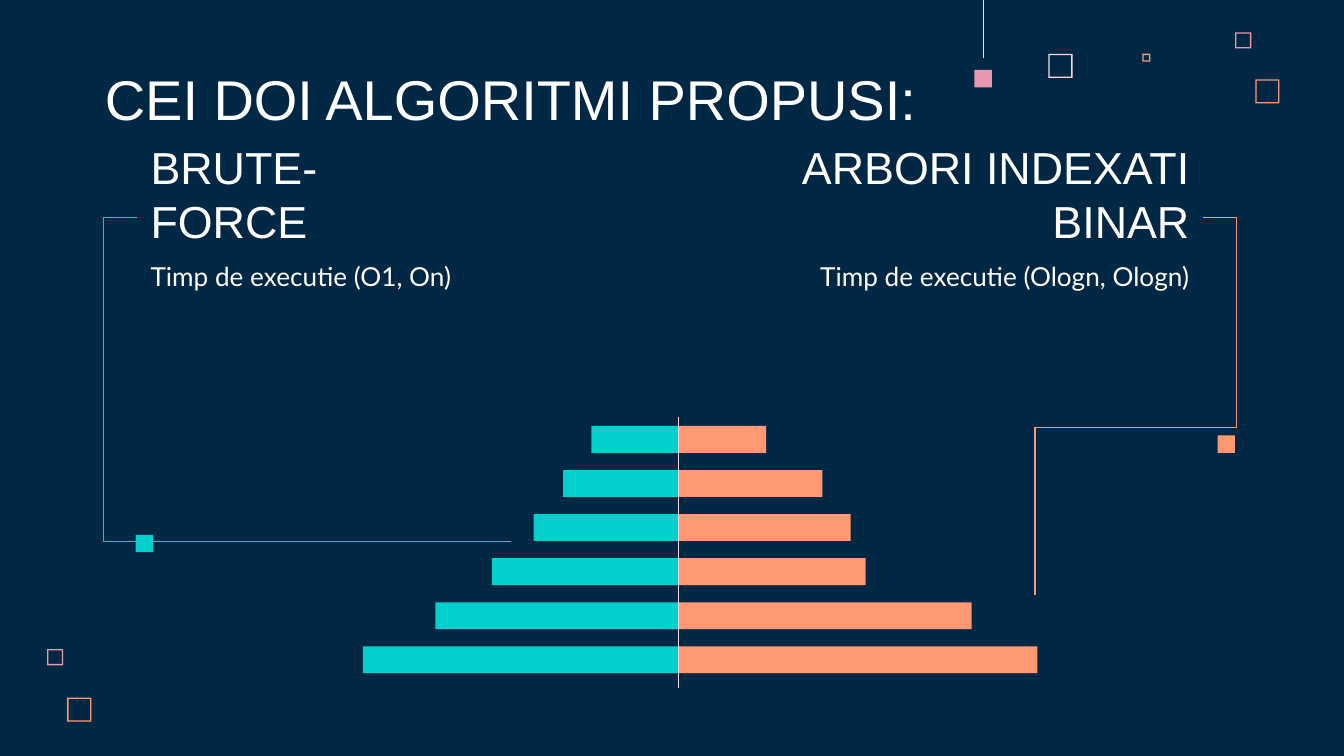
from collections import namedtuple
from dataclasses import dataclass

from lxml.etree import SubElement
from pptx import Presentation
from pptx.dml.color import RGBColor
from pptx.enum.shapes import MSO_CONNECTOR as Link, MSO_SHAPE as Shape
from pptx.enum.text import MSO_ANCHOR as Anchor, MSO_AUTO_SIZE as AutoSize, PP_ALIGN as Align
from pptx.oxml.ns import qn
from pptx.util import Inches, Pt

Box = namedtuple("Box", "left top width height")
Panel = namedtuple("Panel", "heading detail heading_width detail_width align color "
                            "leader_end bend adjustments marker")


@dataclass(frozen=True)
class Theme:
    """Colours, fonts and type sizes of the deck."""
    navy: str = "002845"
    white: str = "FFFFFF"
    blush: str = "FFD6E1"
    pink: str = "E898AC"
    coral: str = "FF9973"
    teal: str = "00CFCC"
    display: str = "Arial"
    text: str = "Lato"
    title_size: float = 30
    heading_size: float = 24
    detail_size: float = 14
    line: float = 0.75
    hairline: float = 0.5


THEME = Theme()


def rgb(color):
    """Turn a hex string into a colour."""
    return RGBColor.from_string(color)


def add_block(page, box, color, kind=Shape.RECTANGLE):
    """Add a flat filled shape without outline."""
    block = page.shapes.add_shape(kind, *map(Inches, box))
    block.shadow.inherit = False
    block.fill.solid()
    block.fill.fore_color.rgb = rgb(color)
    block.line.fill.background()
    return block


def add_line(page, start, end, color, width=THEME.line, bend=None, adjustments=()):
    """Add a straight line, or an elbow of the given bend type."""
    kind = Link.ELBOW if bend else Link.STRAIGHT
    line = page.shapes.add_connector(kind, *map(Inches, (*start, *end)))
    line.line.color.rgb = rgb(color)
    line.line.width = Pt(width)
    properties = line._element.spPr
    SubElement(properties, qn("a:effectLst"))
    if bend:
        geometry = properties.find(qn("a:prstGeom"))
        geometry.set("prst", bend)
        guides = geometry.get_or_add_avLst()
        for number, value in enumerate(adjustments, 1):
            SubElement(guides, qn("a:gd"), name=f"adj{number}", fmla=f"val {round(value * 100000)}")


def fill_placeholder(holder, box, text, size, font, align=Align.LEFT, anchor=Anchor.BOTTOM):
    """Move a placeholder into its box and write one formatted line of text."""
    holder.left, holder.top, holder.width, holder.height = map(Inches, box)
    frame = holder.text_frame
    frame.word_wrap = True
    frame.auto_size = AutoSize.NONE
    frame.vertical_anchor = anchor
    frame.margin_left = frame.margin_top = frame.margin_right = frame.margin_bottom = Inches(0.1)
    para = frame.paragraphs[0]
    para.alignment = align
    para.line_spacing = 1.0
    para.space_before = Pt(0)
    properties = para._p.get_or_add_pPr()
    properties.set("marL", "0")
    properties.set("indent", "0")
    SubElement(properties, qn("a:buNone"))
    span = para.add_run()
    span.text = text
    span.font.name = font
    span.font.size = Pt(size)
    span.font.bold = False
    span.font.color.rgb = rgb(THEME.white)


def add_frames(page, box, frames):
    """Scatter hollow squares, each given as x, y, size and colour within the box."""
    for x, y, size, color in frames:
        frame = add_block(page, Box(box.left + x, box.top + y, size, size), color, Shape.FRAME)
        frame.adjustments[0] = 0.01 / size


def add_pendant(page, box):
    """Hang a pink square from a thin thread."""
    middle = box.left + box.width / 2
    square_top = box.top + box.height - box.width
    add_line(page, (middle, box.top), (middle, square_top - 0.09), THEME.blush, THEME.hairline)
    add_block(page, Box(box.left, square_top, box.width, box.width), THEME.pink)


def add_panel(page, box, panel, heading_holder, detail_holder):
    """Write an algorithm's heading and detail and draw its leader line."""
    on_right = panel.align == Align.RIGHT
    edge = box.left + box.width if on_right else box.left

    def aligned(width, offset, height):
        """Return a box against the outer edge of the panel."""
        return Box(edge - width if on_right else edge, box.top + offset, width, height)

    fill_placeholder(heading_holder, aligned(panel.heading_width, 0, 0.63), panel.heading,
                     THEME.heading_size, THEME.display, panel.align)
    fill_placeholder(detail_holder, aligned(panel.detail_width, 0.53, 1.22), panel.detail,
                     THEME.detail_size, THEME.text, panel.align, Anchor.TOP)
    end_x, end_y = panel.leader_end
    add_line(page, (edge, box.top + 0.31), (edge + end_x, box.top + end_y), panel.color,
             bend=panel.bend, adjustments=panel.adjustments)
    marker_x, marker_y = panel.marker
    add_block(page, Box(edge + marker_x, box.top + marker_y, 0.13, 0.13), panel.color)


def add_pyramid(page, box, left_widths, right_widths):
    """Draw mirrored bars at equal steps on both sides of a centre axis."""
    axis = box.left + max(left_widths)
    bar, inset = 0.2, 0.07
    step = (box.height - 2 * inset - bar - 0.04) / (len(left_widths) - 1)
    for row, (left, right) in enumerate(zip(left_widths, right_widths)):
        top = box.top + inset + row * step
        add_block(page, Box(axis, top, right, bar), THEME.coral)
        add_block(page, Box(axis - left, top, left, bar), THEME.teal)
    add_line(page, (axis, box.top), (axis, box.top + box.height), THEME.blush)


def build_slide(deck):
    """Compose the slide that compares the two algorithms."""
    page = deck.slides.add_slide(deck.slide_layouts.get_by_name("Comparison"))
    page.background.fill.solid()
    page.background.fill.fore_color.rgb = rgb(THEME.navy)
    title, left_heading, left_detail, right_heading, right_detail = page.placeholders

    add_frames(page, Box(7.8, 0.24, 1.72, 0.53), [
        (0, 0.16, 0.18, THEME.blush), (1.39, 0, 0.12, THEME.pink),
        (0.7, 0.16, 0.06, THEME.coral), (1.54, 0.35, 0.18, THEME.coral)])
    add_frames(page, Box(0.35, 4.83, 0.33, 0.54), [
        (0, 0, 0.12, THEME.pink), (0.15, 0.36, 0.18, THEME.coral)])
    add_pendant(page, Box(7.25, 0, 0.13, 0.65))

    fill_placeholder(title, Box(0.68, 0.45, 6.73, 0.63), "CEI DOI ALGORITMI PROPUSI:",
                     THEME.title_size, THEME.display)
    add_pyramid(page, Box(2.7, 3.1, 5.03, 2.02),
                [0.65, 0.86, 1.08, 1.39, 1.81, 2.35],
                [0.65, 1.07, 1.28, 1.39, 2.18, 2.67])

    brute_force = Panel("BRUTE-FORCE", "Timp de executie (O1, On)", 2.22, 2.87, Align.LEFT,
                        THEME.teal, (2.78, 2.72), "bentConnector3", (-0.09,), (-0.01, 2.67))
    indexed_tree = Panel("ARBORI INDEXATI BINAR", "Timp de executie (Ologn, Ologn)", 3.74, 3.26,
                         Align.RIGHT, THEME.coral, (-1.25, 3.12), "bentConnector4",
                         (-0.2, 0.556), (0.11, 1.93))
    add_panel(page, Box(1.02, 1.31, 2.87, 1.75), brute_force, left_heading, left_detail)
    add_panel(page, Box(5.21, 1.31, 3.74, 1.75), indexed_tree, right_heading, right_detail)


def main():
    """Build and save the deck."""
    deck = Presentation()
    deck.slide_width = Inches(10)
    deck.slide_height = deck.slide_width * 9 // 16
    build_slide(deck)
    deck.save("out.pptx")


if __name__ == "__main__":
    main()
